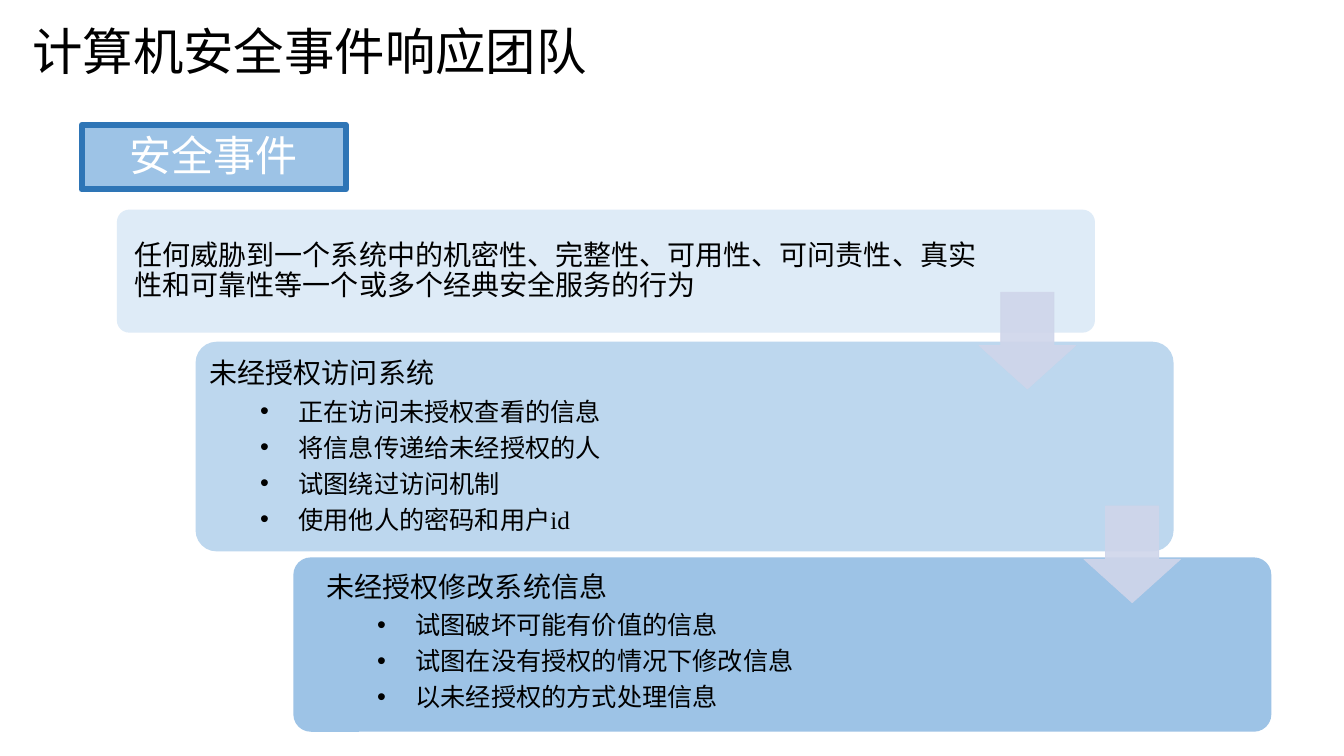
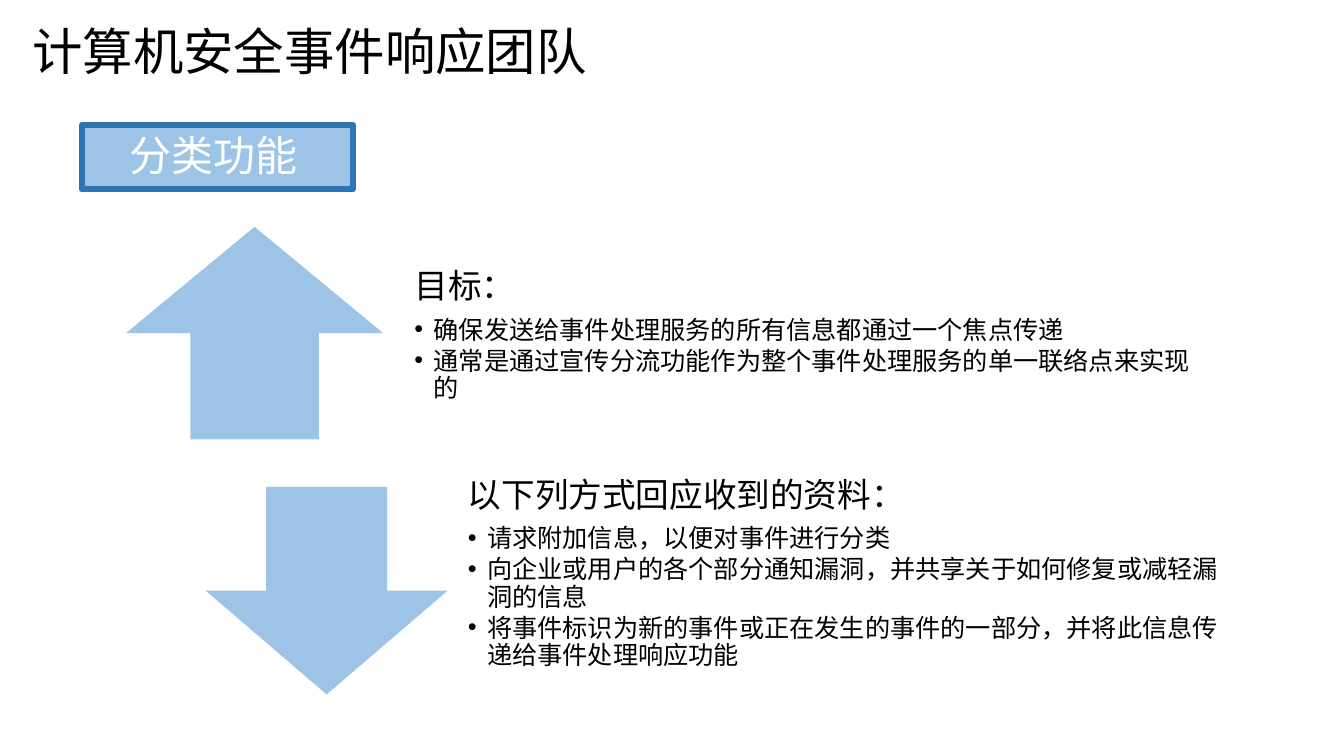
from lxml import etree
from pptx import Presentation
from pptx.dml.color import RGBColor
from pptx.enum.shapes import MSO_SHAPE
from pptx.enum.text import MSO_ANCHOR, MSO_AUTO_SIZE, PP_ALIGN
from pptx.oxml.ns import qn
from pptx.util import Pt

RECTANGLE = MSO_SHAPE.RECTANGLE
ROUNDED = MSO_SHAPE.ROUNDED_RECTANGLE
UP, DOWN = MSO_SHAPE.UP_ARROW, MSO_SHAPE.DOWN_ARROW
MIDDLE, LEFT, NO_FIT = MSO_ANCHOR.MIDDLE, PP_ALIGN.LEFT, MSO_AUTO_SIZE.NONE

BLACK = RGBColor(0x00, 0x00, 0x00)
WHITE = RGBColor(0xFF, 0xFF, 0xFF)
PALE = RGBColor(0xDE, 0xEB, 0xF7)
LIGHT = RGBColor(0xBD, 0xD7, 0xEE)
BLUE = RGBColor(0x9D, 0xC3, 0xE6)
DARK = RGBColor(0x2E, 0x75, 0xB6)
LAVENDER = RGBColor(0xCF, 0xD5, 0xEA)

CJK, LATIN = "Noto Sans CJK SC", "Times New Roman"
PX = 9144
TWO_CONTENT = 3
LINE_RATIO = 1.08

TITLE = "计算机安全事件响应团队"
TITLE_BOX = (21, 0, 678, 106)

INCIDENT_TAG = ("安全事件", 262)
DEFINITION = "任何威胁到一个系统中的机密性、完整性、可用性、可问责性、真实性和可靠性等一个或多个经典安全服务的行为"
CARDS = [
    ((116, 208, 970, 122), PALE),
    ((194, 339, 970, 208), LIGHT),
    ((291, 553, 970, 173), BLUE),
]
STEP_ARROWS = [(971, 290, 96, 96), (1075, 502, 96, 96)]
INCIDENT_LISTS = [
    ((198, 345, 779, 196), "未经授权访问系统", [
        "正在访问未授权查看的信息",
        "将信息传递给未经授权的人",
        "试图绕过访问机制",
        ("使用他人的密码和用户id", LATIN),
    ]),
    ((314, 560, 843, 154), "未经授权修改系统信息", [
        "试图破坏可能有价值的信息",
        "试图在没有授权的情况下修改信息",
        "以未经授权的方式处理信息",
    ]),
]
INCIDENT_STYLE = dict(insets=(10, 10, 10, 10), heading_size=20, gap=0.35, indent=(88, -38))

TRIAGE_TAG = ("分类功能", 269)
TRIAGE_ARROWS = [(UP, (125, 225, 255, 211)), (DOWN, (204, 483, 240, 206))]
TRIAGE_LISTS = [
    ((392, 251, 814, 183), "目标：", [
        "确保发送给事件处理服务的所有信息都通过一个焦点传递",
        "通常是通过宣传分流功能作为整个事件处理服务的单一联络点来实现的",
    ]),
    ((445, 461, 800, 235), "以下列方式回应收到的资料：", [
        "请求附加信息，以便对事件进行分类",
        "向企业或用户的各个部分通知漏洞，并共享关于如何修复或减轻漏洞的信息",
        "将事件标识为新的事件或正在发生的事件的一部分，并将此信息传递给事件处理响应功能",
    ]),
]
TRIAGE_STYLE = dict(insets=(19, 0, 19, 19), heading_size=24, gap=0.15, indent=(19, -19))


def emu(box):
    return [value * PX for value in box]


def place(shape, box):
    shape.left, shape.top, shape.width, shape.height = emu(box)


def set_frame(frame, insets):
    frame.word_wrap = True
    frame.auto_size = NO_FIT
    frame.vertical_anchor = MIDDLE
    (frame.margin_left, frame.margin_top,
     frame.margin_right, frame.margin_bottom) = emu(insets)


def write(paragraph, text, size, color=BLACK, font=CJK, gap=0.35, indent=None):
    paragraph.alignment = LEFT
    paragraph.line_spacing = Pt(size * LINE_RATIO)
    paragraph.space_before = Pt(0)
    paragraph.space_after = Pt(size * gap)
    paragraph.level = 1 if indent else 0
    properties = paragraph._p.get_or_add_pPr()
    margin, hanging = emu(indent or (0, 0))
    properties.set("marL", str(margin))
    properties.set("indent", str(hanging))
    if indent:
        etree.SubElement(properties, qn("a:buChar")).set("char", "•")
    else:
        etree.SubElement(properties, qn("a:buNone"))
    run = paragraph.add_run()
    run.text = text
    run.font.size = Pt(size)
    run.font.color.rgb = color
    run.font.name = font
    etree.SubElement(run._r.get_or_add_rPr(), qn("a:ea")).set("typeface", CJK)


def add_block(slide, kind, box, color, line=None, width=0, adjustments=(), opacity=100):
    block = slide.shapes.add_shape(kind, *emu(box))
    block.shadow.inherit = False
    block.fill.solid()
    block.fill.fore_color.rgb = color
    if line is None:
        block.line.fill.background()
    else:
        block.line.color.rgb = line
        block.line.width = Pt(width)
    for index, value in enumerate(adjustments):
        block.adjustments[index] = value
    if opacity < 100:
        for paint in block._element.spPr.iter(qn("a:srgbClr")):
            etree.SubElement(paint, qn("a:alpha")).set("val", str(opacity * 1000))
    return block


def start_slide(deck, tag):
    slide = deck.slides.add_slide(deck.slide_layouts[TWO_CONTENT])
    title = slide.shapes.title
    place(title, TITLE_BOX)
    set_frame(title.text_frame, (11, 6, 11, 6))
    write(title.text_frame.paragraphs[0], TITLE, 36, gap=0)
    label, width = tag
    badge = add_block(slide, RECTANGLE, (81, 124, width, 64), BLUE, line=DARK, width=4.33)
    set_frame(badge.text_frame, (47, 0, 0, 0))
    write(badge.text_frame.paragraphs[0], label, 30, color=WHITE)
    return slide


def fill_lists(slide, lists, insets, heading_size, gap, indent):
    bodies = [holder for holder in slide.placeholders if holder.placeholder_format.idx > 0]
    for body, (box, heading, items) in zip(bodies, lists):
        place(body, box)
        slide.shapes._spTree.append(body._element)
        frame = body.text_frame
        set_frame(frame, insets)
        write(frame.paragraphs[0], heading, heading_size)
        for item in items:
            text, font = (item, CJK) if isinstance(item, str) else item
            write(frame.add_paragraph(), text, 18, font=font, gap=gap, indent=indent)


def build_incident(deck):
    slide = start_slide(deck, INCIDENT_TAG)
    cards = [add_block(slide, ROUNDED, box, color, adjustments=[0.1]) for box, color in CARDS]
    set_frame(cards[0].text_frame, (14, 10, 111, 10))
    write(cards[0].text_frame.paragraphs[0], DEFINITION, 20)
    fill_lists(slide, INCIDENT_LISTS, **INCIDENT_STYLE)
    for box in STEP_ARROWS:
        add_block(slide, DOWN, box, LAVENDER, line=LAVENDER, width=0.5,
                  adjustments=[0.55, 0.45], opacity=90)


def build_triage(deck):
    slide = start_slide(deck, TRIAGE_TAG)
    for kind, box in TRIAGE_ARROWS:
        add_block(slide, kind, box, BLUE)
    fill_lists(slide, TRIAGE_LISTS, **TRIAGE_STYLE)


def main():
    deck = Presentation()
    deck.slide_width, deck.slide_height = emu((1333, 750))
    build_incident(deck)
    build_triage(deck)
    deck.save("out.pptx")


if __name__ == "__main__":
    main()
